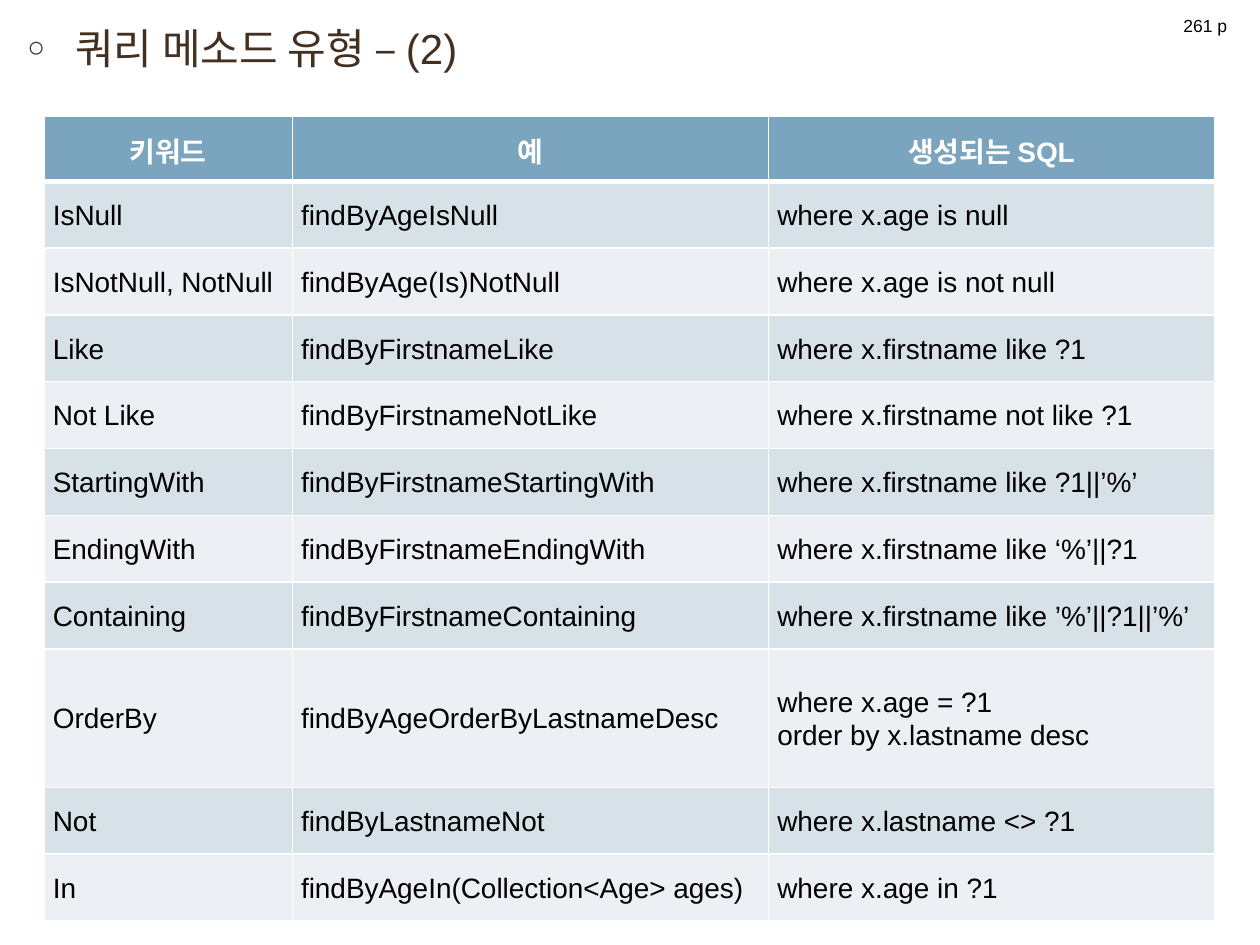
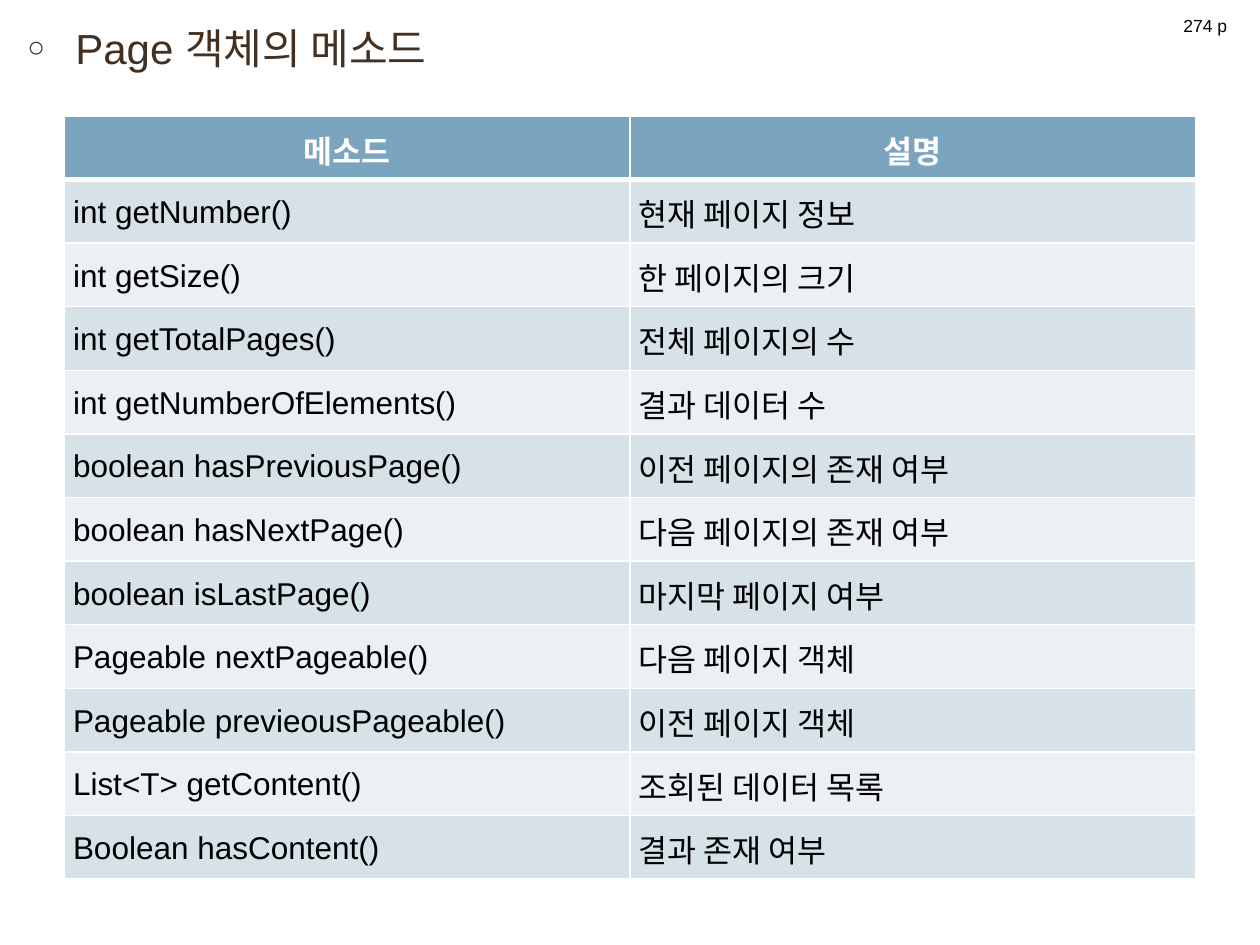
from lxml import etree
from pptx import Presentation
from pptx.dml.color import RGBColor
from pptx.enum.shapes import MSO_SHAPE
from pptx.enum.text import MSO_ANCHOR, PP_ALIGN
from pptx.oxml.ns import qn
from pptx.util import Inches, Pt

RECT = MSO_SHAPE.RECTANGLE
MIDDLE = MSO_ANCHOR.MIDDLE
CENTER, JUSTIFY = PP_ALIGN.CENTER, PP_ALIGN.JUSTIFY

FONT = "Arial"
WHITE, BLACK, BROWN = "FFFFFF", "000000", "433021"
HEAD, BANDS = "7BA5BE", ("D7E1E8", "ECF0F4")
TOP = 0.92

SLIDES = [
    {
        "title": "쿼리 메소드 유형 – (2)",
        "page": "261 p",
        "left": 0.35,
        "size": 16,
        "cols": [1.97, 3.78, 3.54],
        "row": 0.53,
        "tall": {0: 0.52, 8: 1.1},
        "rows": [
            ("키워드", "예", "생성되는 SQL"),
            ("IsNull", "findByAgeIsNull", "where x.age is null"),
            ("IsNotNull, NotNull", "findByAge(Is)NotNull", "where x.age is not null"),
            ("Like", "findByFirstnameLike", "where x.firstname like ?1"),
            ("Not Like", "findByFirstnameNotLike", "where x.firstname not like ?1"),
            ("StartingWith", "findByFirstnameStartingWith", "where x.firstname like ?1||’%’"),
            ("EndingWith", "findByFirstnameEndingWith", "where x.firstname like ‘%’||?1"),
            ("Containing", "findByFirstnameContaining", "where x.firstname like ’%’||?1||’%’"),
            ("OrderBy", "findByAgeOrderByLastnameDesc", "where x.age = ?1 \norder by x.lastname desc"),
            ("Not", "findByLastnameNot", "where x.lastname <> ?1"),
            ("In", "findByAgeIn(Collection<Age> ages)", "where x.age in ?1"),
        ],
    },
    {
        "title": "Page 객체의 메소드",
        "page": "274 p",
        "left": 0.51,
        "size": 18,
        "cols": [4.49, 4.49],
        "row": 6.06 / 12,
        "tall": {},
        "rows": [
            ("메소드", "설명"),
            ("int getNumber()", "현재 페이지 정보"),
            ("int getSize()", "한 페이지의 크기"),
            ("int getTotalPages()", "전체 페이지의 수"),
            ("int getNumberOfElements()", "결과 데이터 수"),
            ("boolean hasPreviousPage()", "이전 페이지의 존재 여부"),
            ("boolean hasNextPage()", "다음 페이지의 존재 여부"),
            ("boolean isLastPage()", "마지막 페이지 여부"),
            ("Pageable nextPageable()", "다음 페이지 객체"),
            ("Pageable previeousPageable()", "이전 페이지 객체"),
            ("List<T> getContent()", "조회된 데이터 목록"),
            ("Boolean hasContent()", "결과 존재 여부"),
        ],
    },
]


def color(code):
    return RGBColor.from_string(code)


def paint(part, code):
    part.fill.solid()
    part.fill.fore_color.rgb = color(code)


def write(para, text, size, code, bold=False):
    run = para.add_run()
    run.text = text
    font = run.font
    font.name, font.size, font.bold = FONT, Pt(size), bold
    font.color.rgb = color(code)


def add_title(slide, text):
    box = slide.shapes.add_textbox(Inches(0.12), Inches(0.13), Inches(9.76), Inches(7.24))
    box.text_frame.word_wrap = True
    para = box.text_frame.paragraphs[0]
    para.space_before = Pt(4.8)
    write(para, text, 24, BROWN)
    props = para._p.get_or_add_pPr()
    props.set("marL", str(Inches(0.38)))
    props.set("indent", str(Inches(-0.38)))
    etree.SubElement(props, qn("a:buSzPct"), val="70000")
    etree.SubElement(props, qn("a:buFont"), typeface=FONT)
    etree.SubElement(props, qn("a:buChar"), char="○")


def add_page(slide, text):
    tag = slide.shapes.add_shape(RECT, Inches(9.17), Inches(0.05), Inches(0.79), Inches(0.31))
    tag.shadow.inherit = False
    paint(tag, WHITE)
    tag.line.color.rgb = color(WHITE)
    tag.line.width = Pt(1.25)
    tag.text_frame.vertical_anchor = MIDDLE
    para = tag.text_frame.paragraphs[0]
    para.alignment = CENTER
    write(para, text, 10, BLACK)


def add_edges(cell, row):
    props = cell._tc.get_or_add_tcPr()
    widths = {"L": 1, "R": 1, "T": 3 if row == 1 else 1, "B": 3 if row == 0 else 1}
    for side, width in widths.items():
        line = etree.SubElement(props, qn("a:ln" + side), w=str(Pt(width)))
        fill = etree.SubElement(line, qn("a:solidFill"))
        etree.SubElement(fill, qn("a:srgbClr"), val=WHITE)


def fill_cell(cell, text, row, size):
    head = row == 0
    add_edges(cell, row)
    paint(cell, HEAD if head else BANDS[(row - 1) % 2])
    cell.vertical_anchor = MIDDLE
    cell.margin_left = cell.margin_right = Inches(0.07)
    cell.margin_top = cell.margin_bottom = 0
    frame = cell.text_frame
    for i, line in enumerate(text.split("\n")):
        para = frame.add_paragraph() if i else frame.paragraphs[0]
        para.alignment = CENTER if head else JUSTIFY
        para.line_spacing = 1.07
        write(para, line, size, WHITE if head else BLACK, head)


def add_grid(slide, data):
    rows, cols = data["rows"], data["cols"]
    highs = [data["tall"].get(i, data["row"]) for i in range(len(rows))]
    grid = slide.shapes.add_table(
        len(rows), len(cols), Inches(data["left"]), Inches(TOP),
        Inches(sum(cols)), Inches(sum(highs))).table
    for col, width in zip(grid.columns, cols):
        col.width = Inches(width)
    for r, texts in enumerate(rows):
        grid.rows[r].height = Inches(highs[r])
        for c, text in enumerate(texts):
            fill_cell(grid.cell(r, c), text, r, data["size"])


def main():
    deck = Presentation()
    deck.slide_width, deck.slide_height = Inches(10), Inches(7.5)
    for data in SLIDES:
        slide = deck.slides.add_slide(deck.slide_layouts[6])
        add_title(slide, data["title"])
        add_grid(slide, data)
        add_page(slide, data["page"])
    deck.save("out.pptx")


if __name__ == "__main__":
    main()
